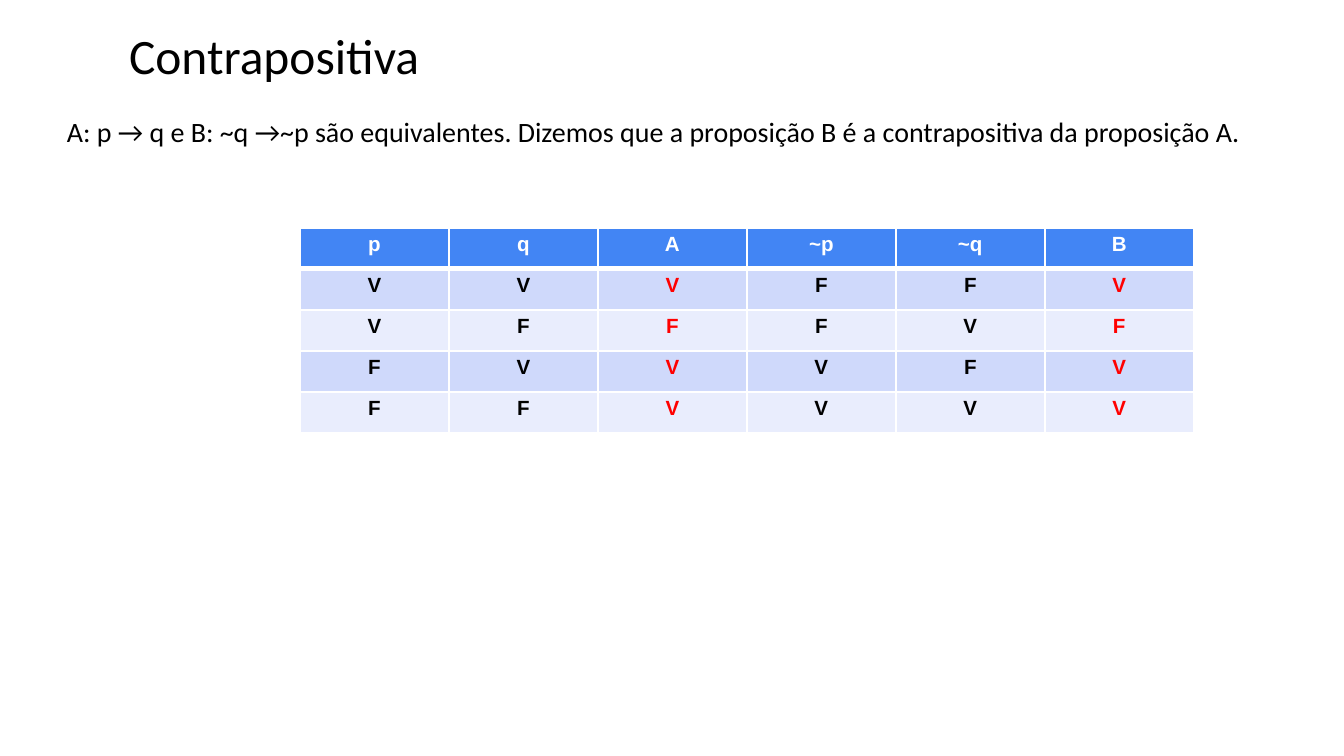
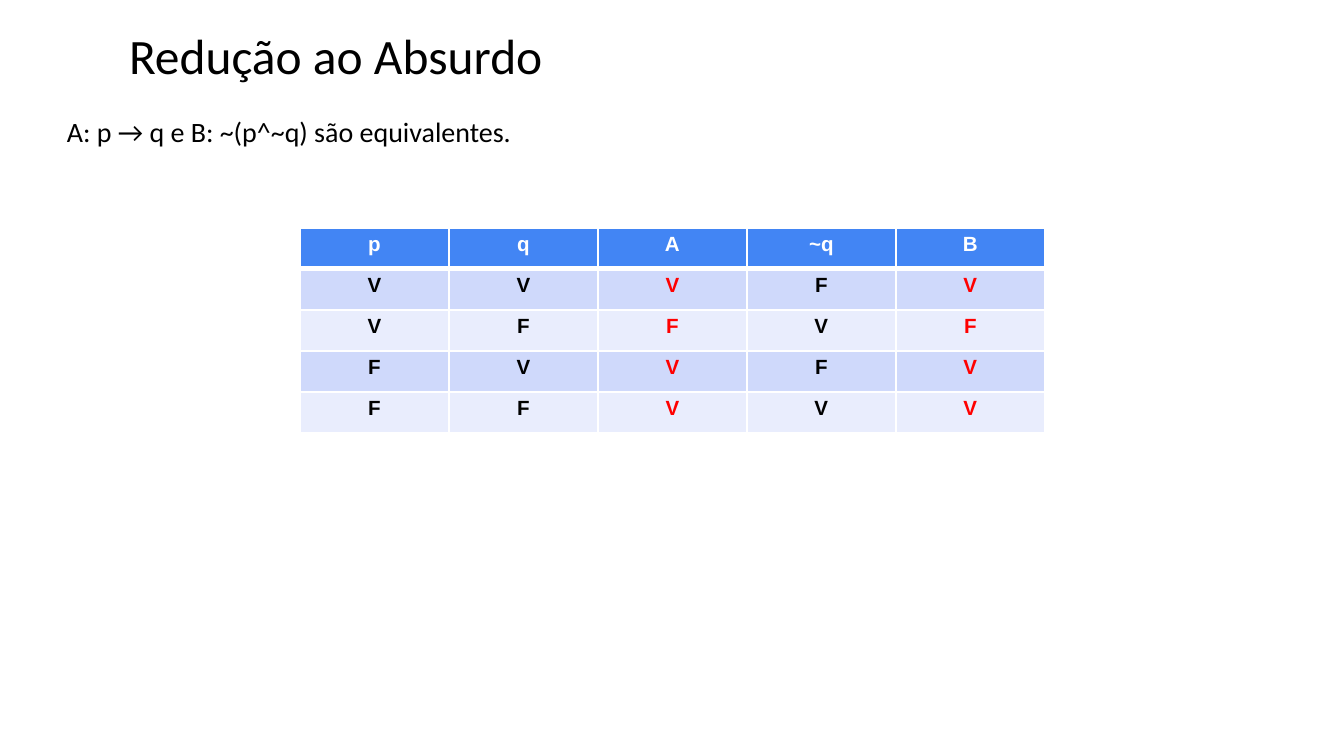
from lxml.etree import SubElement
from pptx import Presentation
from pptx.dml.color import RGBColor
from pptx.enum.text import MSO_ANCHOR as ANCHOR, MSO_AUTO_SIZE as AUTO, PP_ALIGN as ALIGN
from pptx.oxml.ns import qn
from pptx.util import Emu, Pt

# Content: title, statement, table header, truth values by row
SLIDES = [
    ("Contrapositiva",
     "A: p → q e B: ~q →~p são equivalentes. Dizemos que a proposição B é a "
     "contrapositiva da proposição A.",
     ["p", "q", "A", "~p", "~q", "B"],
     ["VVVFFV", "VFFFVF", "FVVVFV", "FFVVVV"]),
    ("Redução ao Absurdo",
     "A: p → q e B: ~(p^~q) são equivalentes.",
     ["p", "q", "A", "~q", "B"],
     ["VVVFV", "VFFVF", "FVVFV", "FFVVV"]),
]
COMPARED = ("A", "B")  # columns whose values are highlighted

# Shared style
BLACK, WHITE, RED = "000000", "FFFFFF", "FF0000"
HEADER, BANDS = "4285F4", ("CFD9FB", "E9EDFD")
TITLE_BOX = (120, 20, 948, 71)
BODY_BOX = (58, 103, 1206, 54)
TABLE_LEFT, TABLE_TOP, COL_W, ROW_H = 300, 228, 149, 41
PAD_X, PAD_Y = 9, 5


def px(n):
    return Emu(round(n * 914400 / 134.4))


def rgb(value):
    return RGBColor.from_string(value)


def set_font(p, name, size, color, bold=False):
    p.font.name, p.font.size, p.font.bold = name, Pt(size), bold
    p.font.color.rgb = rgb(color)


def set_margins(box):
    box.margin_left = box.margin_right = px(PAD_X)
    box.margin_top = box.margin_bottom = px(PAD_Y)


def fill_placeholder(sp, box, text, size, align):
    sp.left, sp.top, sp.width, sp.height = map(px, box)
    tf = sp.text_frame
    tf.text = text
    tf.word_wrap, tf.auto_size, tf.vertical_anchor = True, AUTO.NONE, ANCHOR.TOP
    set_margins(tf)
    p = tf.paragraphs[0]
    p.alignment, p.space_before = align, Pt(0)
    return p, size


def add_borders(cell, widths):
    tc_pr = cell._tc.get_or_add_tcPr()
    for side, width in zip("LRTB", widths):
        ln = SubElement(tc_pr, qn(f"a:ln{side}"), w=str(Pt(width)))
        SubElement(SubElement(ln, qn("a:solidFill")), qn("a:srgbClr"), val=WHITE)


def add_title(s, text):
    p, size = fill_placeholder(s.shapes.title, TITLE_BOX, text, 26.5, ALIGN.LEFT)
    set_font(p, "Calibri", size, BLACK)


def add_statement(s, text):
    p, size = fill_placeholder(s.placeholders[1], BODY_BOX, text, 15, ALIGN.JUSTIFY)
    p.line_spacing = 1.2
    p_pr = p._p.get_or_add_pPr()
    p_pr.set("marL", "0")
    p_pr.set("indent", "0")
    SubElement(p_pr, qn("a:buNone"))
    set_font(p, "Calibri", size, BLACK)


def add_truth_table(s, header, values):
    rows = [header, *values]
    table = s.shapes.add_table(
        len(rows), len(header), px(TABLE_LEFT), px(TABLE_TOP),
        px(COL_W * len(header)), px(ROW_H * len(rows))).table
    for col in table.columns:
        col.width = px(COL_W)
    for i, row in enumerate(rows):
        table.rows[i].height = px(ROW_H)
        for j, text in enumerate(row):
            cell = table.cell(i, j)
            cell.text = text
            set_margins(cell)
            # A thick line separates the header from the values
            add_borders(cell, (1, 1, 3 if i == 1 else 1, 3 if i == 0 else 1))
            cell.fill.solid()
            cell.fill.fore_color.rgb = rgb(BANDS[(i - 1) % 2] if i else HEADER)
            color = RED if header[j] in COMPARED else BLACK
            p = cell.text_frame.paragraphs[0]
            p.alignment = ALIGN.CENTER
            set_font(p, "Arial", 11, color if i else WHITE, bold=True)


def main():
    prs = Presentation()
    prs.slide_width, prs.slide_height = px(1344), px(756)
    for title, statement, header, values in SLIDES:
        s = prs.slides.add_slide(prs.slide_layouts[1])
        add_title(s, title)
        add_statement(s, statement)
        add_truth_table(s, header, values)
    prs.save("out.pptx")


if __name__ == "__main__":
    main()
